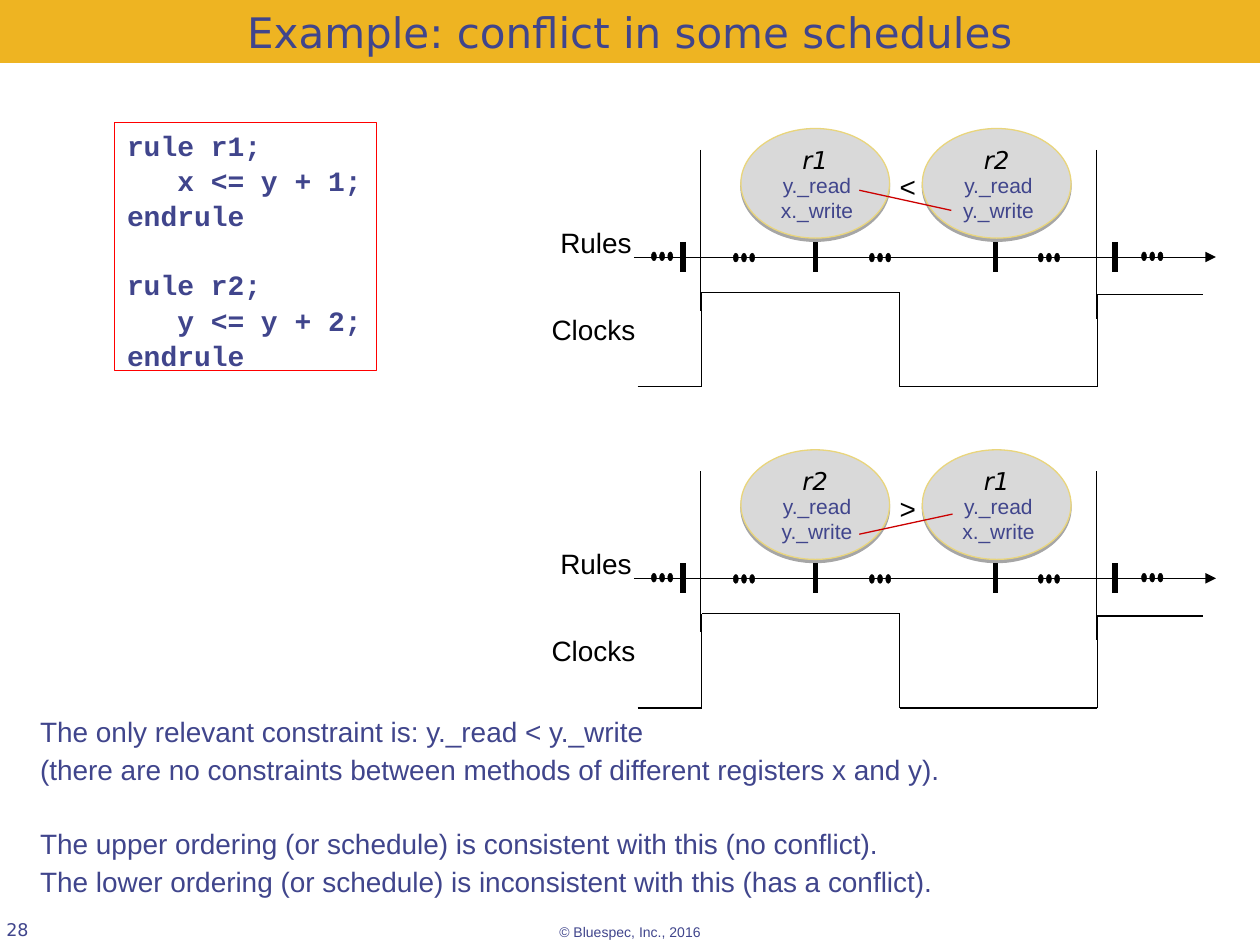
import itertools

import pptx
import pptx.dml.color
import pptx.enum.shapes
import pptx.enum.text
import pptx.oxml
import pptx.oxml.ns
import pptx.util
from pptx.util import Inches

ALIGN = pptx.enum.text.PP_ALIGN
ANCHOR = pptx.enum.text.MSO_ANCHOR
SHAPE = pptx.enum.shapes.MSO_SHAPE

THEME = {
    "ink": "40458C", "black": "000000", "banner": "EEB422", "code_frame": "FF0000",
    "bubble": "D9D9D9", "bubble_edge": "E9D57C", "conflict": "CC0000",
    "sans": "Arial", "display": "DejaVu Sans", "mono": "Courier New",
    "title": 24, "body": 16, "rule": 14, "method": 12, "number": 10, "footer": 8,
    "hair": 0.25, "thin": 0.75, "thick": 3,
}

TITLE = "Example: conflict in some schedules"
PAGE_NUMBER = "28"
FOOTER = "© Bluespec, Inc., 2016"
CODE = [
    ["rule r1;", "   x <= y + 1;", "endrule"],
    ["rule r2;", "   y <= y + 2;", "endrule"],
]
REMARKS = [
    ["The only relevant constraint is: y._read < y._write",
     "(there are no constraints between methods of different registers x and y)."],
    ["The upper ordering (or schedule) is consistent with this (no conflict).",
     "The lower ordering (or schedule) is inconsistent with this (has a conflict)."],
]
METHODS = {"r1": ["y._read", "x._write"], "r2": ["y._read", "y._write"]}

# Each schedule: vertical offset, rule order, relation, ends of the conflict line
SCHEDULES = [
    (0, ("r1", "r2"), "<", ((6.82, 1.51), (7.55, 1.67))),
    (2.55, ("r2", "r1"), ">", ((6.82, 1.69), (7.56, 1.53))),
]
BUBBLE_LEFTS = (5.88, 7.32)
BUBBLE_SIZE = (1.18, 0.87)
TICKS = (5.42, 6.47, 7.9, 8.85)
CLOCK_EDGES = ((5.56, 2.47), (8.7, 2.53))
DOT_GROUPS = ((5.17, 2), (5.82, 2.01), (6.9, 2.01), (8.24, 2.01), (9.06, 2))
DOT_PITCH = 0.065
CLOCK_WAVE = [(5.06, 3.07), (5.57, 3.07), (5.57, 2.32), (7.14, 2.32),
              (7.14, 3.07), (8.71, 3.07), (8.71, 2.34), (9.55, 2.34)]


def color(name):
    return pptx.dml.color.RGBColor.from_string(THEME[name])


def add_effects(shape, content=""):
    """Replace the theme's shadow by the given effects, none by default."""
    shape._element.spPr.append(pptx.oxml.parse_xml(
        f'<a:effectLst {pptx.oxml.ns.nsdecls("a")}>{content}</a:effectLst>'))


def write(shape, lines, font, size, ink="ink", align=ALIGN.LEFT, anchor=ANCHOR.TOP,
          margins=(0.1, 0.05), wrap=True, bold=False, italic=False):
    frame = shape.text_frame
    frame.text = "\n".join(lines)
    frame.word_wrap = wrap
    frame.auto_size = pptx.enum.text.MSO_AUTO_SIZE.NONE
    frame.vertical_anchor = anchor
    frame.margin_left = frame.margin_right = Inches(margins[0])
    frame.margin_top = frame.margin_bottom = Inches(margins[1])
    for para in frame.paragraphs:
        para.alignment = align
        para.font.name = THEME[font]
        para.font.size = pptx.util.Pt(THEME[size])
        para.font.color.rgb = color(ink)
        para.font.bold = bold
        para.font.italic = italic
    return frame


def add_text(page, area, lines, font, size, **style):
    box = page.shapes.add_textbox(*map(Inches, area))
    write(box, lines, font, size, **style)
    return box


def add_blocks(page, area, blocks, font, size, line_gap, block_gap, **style):
    """Text box whose blocks of lines stand apart by block_gap points."""
    box = add_text(page, area, itertools.chain(*blocks), font, size, **style)
    starts = set(itertools.accumulate(len(block) for block in blocks))
    for index, para in enumerate(box.text_frame.paragraphs):
        gap = block_gap if index in starts else line_gap
        para.space_before = pptx.util.Pt(gap if index else 0)
    return box


def add_line(page, start, end, width, ink="black", arrow=False):
    line = page.shapes.add_connector(
        pptx.enum.shapes.MSO_CONNECTOR.STRAIGHT, *map(Inches, (*start, *end)))
    line.line.color.rgb = color(ink)
    line.line.width = pptx.util.Pt(THEME[width])
    if arrow:
        line.line._get_or_add_ln().append(pptx.oxml.parse_xml(
            f'<a:tailEnd {pptx.oxml.ns.nsdecls("a")} type="triangle"/>'))
    add_effects(line)


def add_oval(page, area, fill, edge, width):
    oval = page.shapes.add_shape(SHAPE.OVAL, *map(Inches, area))
    oval.fill.solid()
    oval.fill.fore_color.rgb = color(fill)
    oval.line.color.rgb = color(edge)
    oval.line.width = pptx.util.Pt(THEME[width])
    return oval


def add_bubble(page, left, top, rule):
    bubble = add_oval(page, (left, top, *BUBBLE_SIZE), "bubble", "bubble_edge", "thin")
    add_effects(bubble, '<a:outerShdw dist="22860" dir="5400000" rotWithShape="0">'
                '<a:srgbClr val="000000"><a:alpha val="35000"/></a:srgbClr></a:outerShdw>')
    write(bubble, [rule], "display", "rule", ink="black", align=ALIGN.CENTER,
          margins=(0, 0), italic=True)
    add_text(page, (left + 0.22, top + 0.3, 0.77, 0.5), METHODS[rule], "sans", "method",
             align=ALIGN.CENTER, wrap=False)


def add_schedule(page, drop, order, relation, conflict):
    def lower(point):
        return point[0], point[1] + drop

    for left, rule in zip(BUBBLE_LEFTS, order):
        add_bubble(page, left, 1.02 + drop, rule)
    add_line(page, lower((5.03, 2.04)), lower((9.65, 2.04)), "hair", arrow=True)
    for x in TICKS:
        add_line(page, lower((x, 1.92)), lower((x, 2.16)), "thick")
    for x, bottom in CLOCK_EDGES:
        add_line(page, lower((x, 1.19)), lower((x, bottom)), "hair")
    for (left, top), step in itertools.product(DOT_GROUPS, range(3)):
        dot = add_oval(page, (left + step * DOT_PITCH, top + drop, 0.04, 0.07),
                       "black", "black", "hair")
        dot.shadow.inherit = False
    for start, end in zip(CLOCK_WAVE, CLOCK_WAVE[1:]):
        add_line(page, lower(start), lower(end), "thin")
    add_line(page, *map(lower, conflict), "thin", ink="conflict")
    labels = [("Rules", 4.1, 1.74, 1.26), ("Clocks", 4.03, 2.43, 1.36),
              (relation, 6.79, 1.3, 0.83)]
    for text, left, top, width in labels:
        add_text(page, (left, top + drop, width, 0.37), [text], "sans", "body",
                 ink="black", align=ALIGN.CENTER, wrap=False)


def main():
    deck = pptx.Presentation()
    deck.slide_width, deck.slide_height = Inches(10), Inches(7.5)
    page = deck.slides.add_slide(deck.slide_layouts.get_by_name("Title Only"))

    title = page.shapes.title
    title.left, title.top, title.width, title.height = map(Inches, (0, 0, 10, 0.5))
    title.fill.solid()
    title.fill.fore_color.rgb = color("banner")
    write(title, [TITLE], "display", "title", align=ALIGN.CENTER,
          anchor=ANCHOR.BOTTOM, margins=(0, 0.05))

    code = add_blocks(page, (0.91, 0.97, 2.08, 1.97), CODE, "mono", "body", 1, 20.1,
                      bold=True, wrap=False)
    code.line.color.rgb = color("code_frame")
    code.line.width = pptx.util.Pt(THEME["thin"])

    for schedule in SCHEDULES:
        add_schedule(page, *schedule)

    add_blocks(page, (0.22, 5.62, 7.39, 1.52), REMARKS, "sans", "body", 2.4, 23.2,
               align=ALIGN.JUSTIFY)
    add_text(page, (0.05, 6.96, 2.08, 0.5), [PAGE_NUMBER], "display", "number",
             anchor=ANCHOR.BOTTOM, margins=(0, 0))
    add_text(page, (4.34, 7.28, 1.32, 0.23), [FOOTER], "sans", "footer", wrap=False)
    deck.save("out.pptx")


if __name__ == "__main__":
    main()
